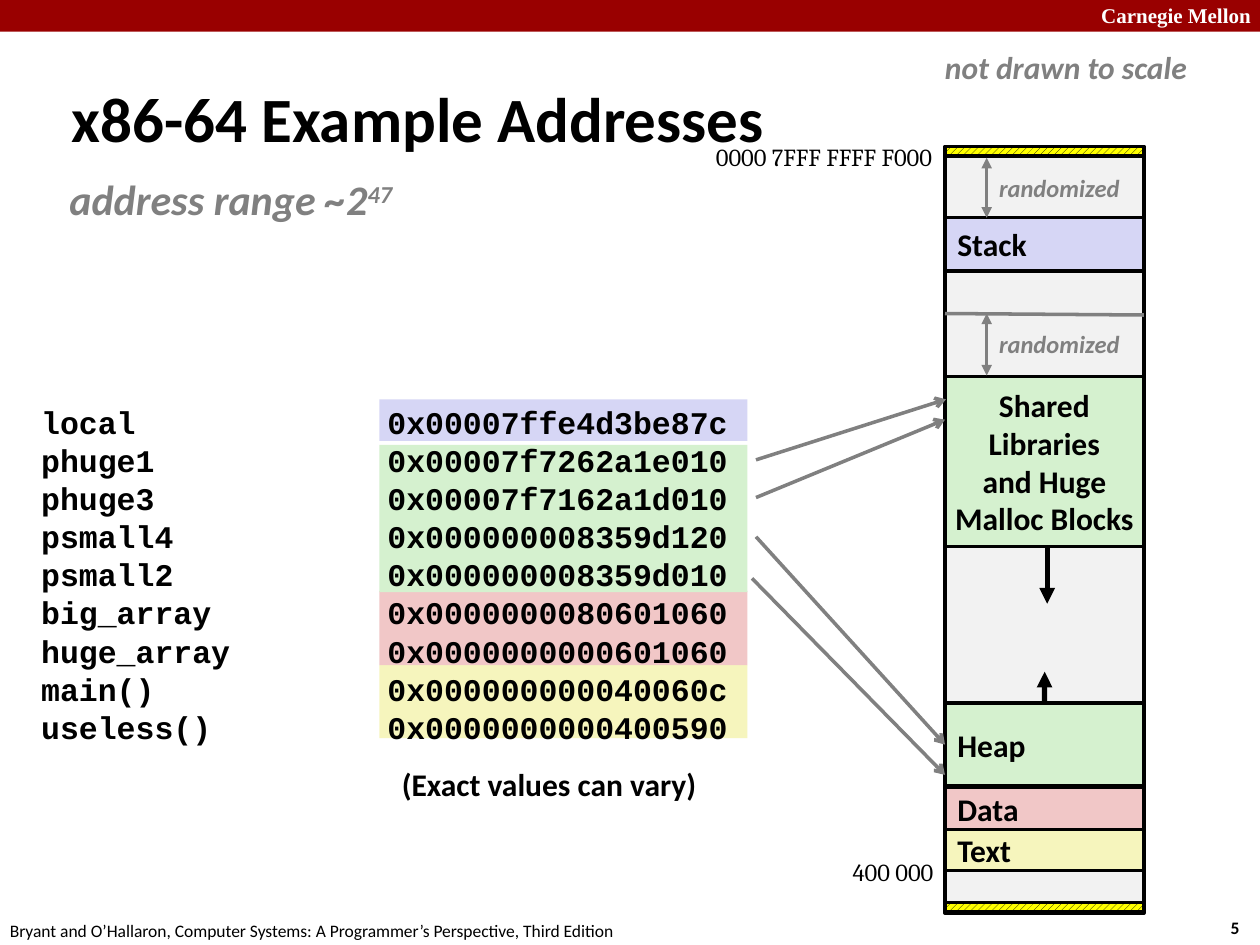
from lxml import etree
from pptx import Presentation
from pptx import util as u
from pptx.dml.color import RGBColor
from pptx.enum import dml, shapes, text
from pptx.oxml import ns

COLORS = {
    "bar": "990000", "white": "FFFFFF", "black": "000000", "gray": "808080",
    "unused": "F2F2F2", "stack": "D6D6F5", "heap": "D5F1CF",
    "data": "F1C7C7", "code": "F6F5BD", "hatch": "FFFF00",
}
LABEL = {"name": "Calibri", "size": u.Pt(18), "bold": True}
NOTE = {**LABEL, "italic": True}
ADDRESS = {"name": "Cambria", "size": u.Pt(14)}
FOOTER = {"name": "Calibri", "size": u.Pt(10)}
CODE = {"name": "Courier New", "size": u.Pt(18), "bold": True}

MEMORY_LEFT, MEMORY_WIDTH = 19.05, 4.01
VALUES_LEFT, VALUES_WIDTH = 7.65, 7.42

# Top, height, colour of the bands behind the address values
BANDS = [(13.41, 1.47, "code"), (11.91, 1.5, "data"),
         (8.05, 0.84, "stack"), (8.97, 2.97, "heap")]

# Label, top, height, colour of the memory regions
REGIONS = [
    ("Stack", 4.39, 1.07, "stack"),
    ("Text", 16.71, 0.84, "code"),
    ("Data", 15.88, 0.84, "data"),
    ("Heap", 14.17, 1.68, "heap"),
    ("Shared\nLibraries\nand Huge\nMalloc Blocks", 7.59, 3.43, "heap"),
]

VARIABLES = [
    ("local", "0x00007ffe4d3be87c"),
    ("phuge1", "0x00007f7262a1e010"),
    ("phuge3", "0x00007f7162a1d010"),
    ("psmall4", "0x000000008359d120"),
    ("psmall2", "0x000000008359d010"),
    ("big_array", "0x0000000080601060"),
    ("huge_array", "0x0000000000601060"),
    ("main()", "0x000000000040060c"),
    ("useless()", "0x0000000000400590"),
]


def rgb(color):
    return RGBColor.from_string(COLORS[color])


def apply_font(font, values, color):
    for attribute, value in values.items():
        setattr(font, attribute, value)
    font.color.rgb = rgb(color)


def write(frame, content, values, color="black", align=text.PP_ALIGN.LEFT):
    for index, line in enumerate(content.split("\n")):
        paragraph = frame.paragraphs[0] if index == 0 else frame.add_paragraph()
        paragraph.alignment = align
        run = paragraph.add_run()
        run.text = line
        apply_font(run.font, values, color)


def add_label(slide, box, content, values, color="black", wrap=False,
              align=text.PP_ALIGN.LEFT):
    label = slide.shapes.add_textbox(*map(u.Cm, box))
    frame = label.text_frame
    frame.word_wrap = wrap
    frame.auto_size = text.MSO_AUTO_SIZE.SHAPE_TO_FIT_TEXT
    write(frame, content, values, color, align)
    return frame


def add_block(slide, box, color, outlined=False):
    block = slide.shapes.add_shape(shapes.MSO_SHAPE.RECTANGLE, *map(u.Cm, box))
    block.shadow.inherit = False
    block.fill.solid()
    block.fill.fore_color.rgb = rgb(color)
    if outlined:
        block.line.color.rgb = rgb("black")
        block.line.width = u.Pt(2)
    else:
        block.line.fill.background()
    return block


def add_region(slide, content, top, height, color):
    region = add_block(slide, (MEMORY_LEFT, top, MEMORY_WIDTH, height), color, True)
    frame = region.text_frame
    frame.word_wrap = False
    frame.vertical_anchor = text.MSO_ANCHOR.MIDDLE
    align = text.PP_ALIGN.CENTER if "\n" in content else text.PP_ALIGN.LEFT
    write(frame, content, LABEL, align=align)
    return region


def add_hatch(slide, top):
    hatch = add_block(slide, (MEMORY_LEFT, top, MEMORY_WIDTH, 0.2), "hatch", True)
    hatch.fill.patterned()
    hatch.fill.pattern = dml.MSO_PATTERN.WIDE_UPWARD_DIAGONAL
    hatch.fill.fore_color.rgb = rgb("black")
    hatch.fill.back_color.rgb = rgb("hatch")


def add_line(slide, ends, color="gray", width=2, head=None, tail=None):
    line = slide.shapes.add_connector(shapes.MSO_CONNECTOR.STRAIGHT,
                                      *map(u.Cm, ends))
    line.line.color.rgb = rgb(color)
    line.line.width = u.Pt(width)
    outline = line.line._get_or_add_ln()
    for tag, kind in (("a:headEnd", head), ("a:tailEnd", tail)):
        if kind:
            etree.SubElement(outline, ns.qn(tag), type=kind)
    etree.SubElement(line._element.spPr, ns.qn("a:effectLst"))
    return line


def add_variables(slide):
    listing = "\n".join(f"{name}\t{address}" for name, address in VARIABLES)
    frame = add_label(slide, (0.58, 8, 15.67, 7.16), "", CODE, wrap=True)
    frame.clear()
    write(frame, listing, CODE)
    for paragraph in frame.paragraphs:
        paragraph.line_spacing = u.Pt(21.75)
        tabs = etree.SubElement(paragraph._p.get_or_add_pPr(), ns.qn("a:tabLst"))
        etree.SubElement(tabs, ns.qn("a:tab"), pos=str(u.Cm(6.98)), algn="l")


def add_frame(slide):
    # Top bar and footer
    add_block(slide, (0, 0, 25.4, 0.64), "bar")
    add_label(slide, (21.95, -0.08, 3.63, 0.76), "Carnegie Mellon",
              {"name": "Times New Roman", "size": u.Pt(12), "bold": True},
              "white", wrap=True)
    add_label(slide, (24.56, 18.36, 0.94, 0.69), "5", {**FOOTER, "bold": True})
    add_label(slide, (-0.05, 18.42, 12.9, 0.69),
              "Bryant and O’Hallaron, Computer Systems: "
              "A Programmer’s Perspective, Third Edition", FOOTER)


def add_headings(slide):
    add_label(slide, (1.19, 1.47, 18.26, 1.6), "x86-64 Example Addresses",
              {**LABEL, "size": u.Pt(36)}, wrap=True)
    large_note = {**NOTE, "size": u.Pt(24)}
    span = add_label(slide, (1.27, 3.38, 6.88, 1.3), "address range ~2",
                     large_note, "gray")
    span.margin_left = span.margin_right = u.Cm(0.13)
    exponent = span.paragraphs[0].add_run()
    exponent.text = "47"
    apply_font(exponent.font, large_note, "gray")
    exponent.font._element.set("baseline", "30000")
    add_label(slide, (18.8, 0.84, 5.41, 1.02), "not drawn to scale", NOTE, "gray")
    add_label(slide, (7.85, 15.29, 6.5, 1.02), "(Exact values can vary)", LABEL)


def add_memory(slide):
    # Column with its regions and reserved ends
    add_block(slide, (MEMORY_LEFT, 2.97, MEMORY_WIDTH, 15.44), "unused", True)
    regions = {region[0]: add_region(slide, *region) for region in REGIONS}
    for top in (2.95, 18.19):
        add_hatch(slide, top)

    # Boundary addresses
    for box, address in (((10.36, 2.74, 8.69, 0.86), "0000 7FFF FFFF F000"),
                         ((16.53, 17.15, 2.54, 0.86), "400 000")):
        add_label(slide, box, address, ADDRESS, wrap=True,
                  align=text.PP_ALIGN.RIGHT)

    # Randomized gaps
    add_line(slide, (MEMORY_LEFT, 6.32, MEMORY_LEFT + MEMORY_WIDTH, 6.35))
    for top, bottom in ((3.18, 4.39), (6.32, 7.57)):
        add_line(slide, (19.89, top, 19.89, bottom),
                 head="triangle", tail="triangle")
        add_label(slide, (19.89, top + 0.19, 2.97, 0.86), "randomized",
                  {**NOTE, "size": u.Pt(14)}, "gray")

    # Directions of growth
    heap = regions["Heap"]
    growth = add_line(slide, (21.06, 14.17, 21.06, 13.54), "black", 3,
                      tail="triangle")
    growth.begin_connect(heap, 0)
    add_line(slide, (21.11, 11.02, 21.11, 12.17), "black", 3, tail="triangle")
    return heap


def add_pointers(slide, heap):
    for ends in ((15.24, 9.27, 19.07, 8.05), (15.24, 10.03, 19.05, 8.46),
                 (15.16, 11.66, 19.05, 15.62)):
        add_line(slide, ends, tail="arrow")
    to_heap = add_line(slide, (15.24, 10.82, 19.05, 15.01), tail="arrow")
    to_heap.end_connect(heap, 1)


def main():
    deck = Presentation()
    deck.slide_width, deck.slide_height = u.Cm(25.4), u.Cm(19.05)
    slide = deck.slides.add_slide(deck.slide_layouts[6])
    add_frame(slide)
    for top, height, color in BANDS:
        add_block(slide, (VALUES_LEFT, top, VALUES_WIDTH, height), color)
    add_headings(slide)
    add_variables(slide)
    heap = add_memory(slide)
    add_pointers(slide, heap)
    deck.save("out.pptx")


if __name__ == "__main__":
    main()
